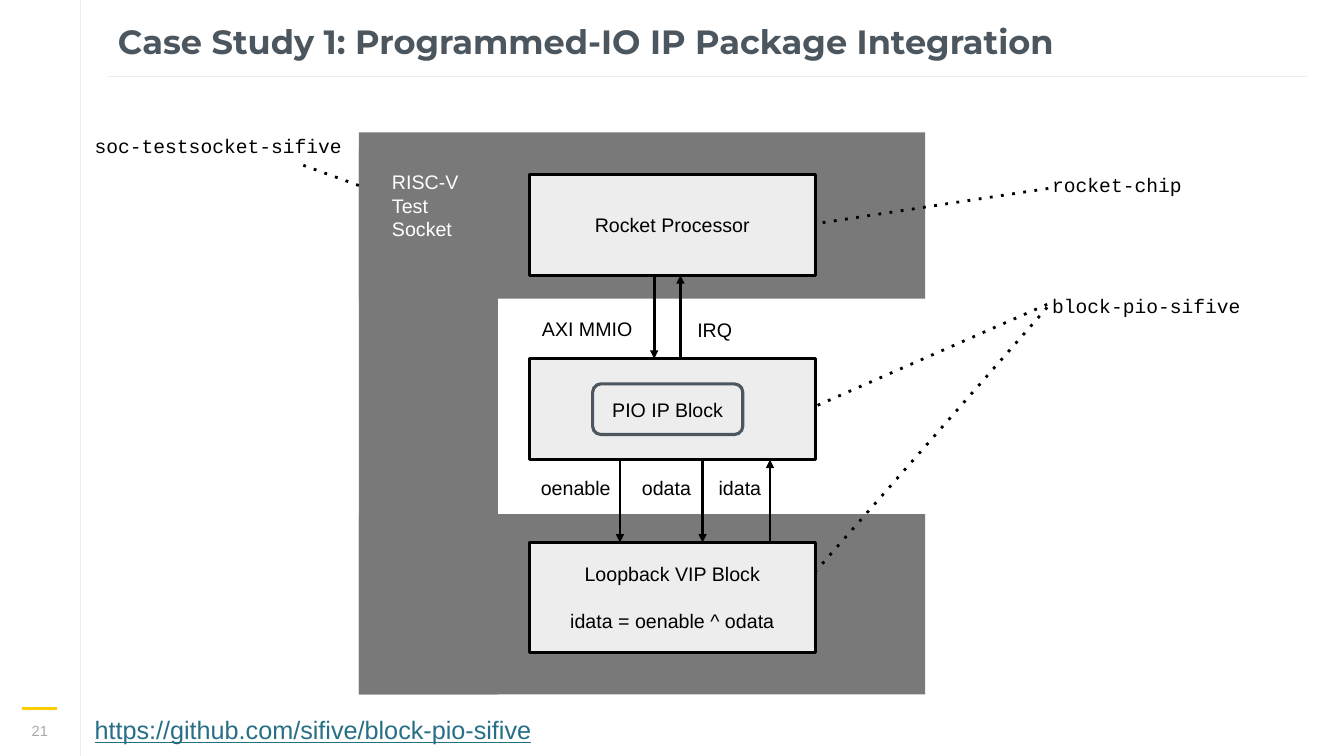
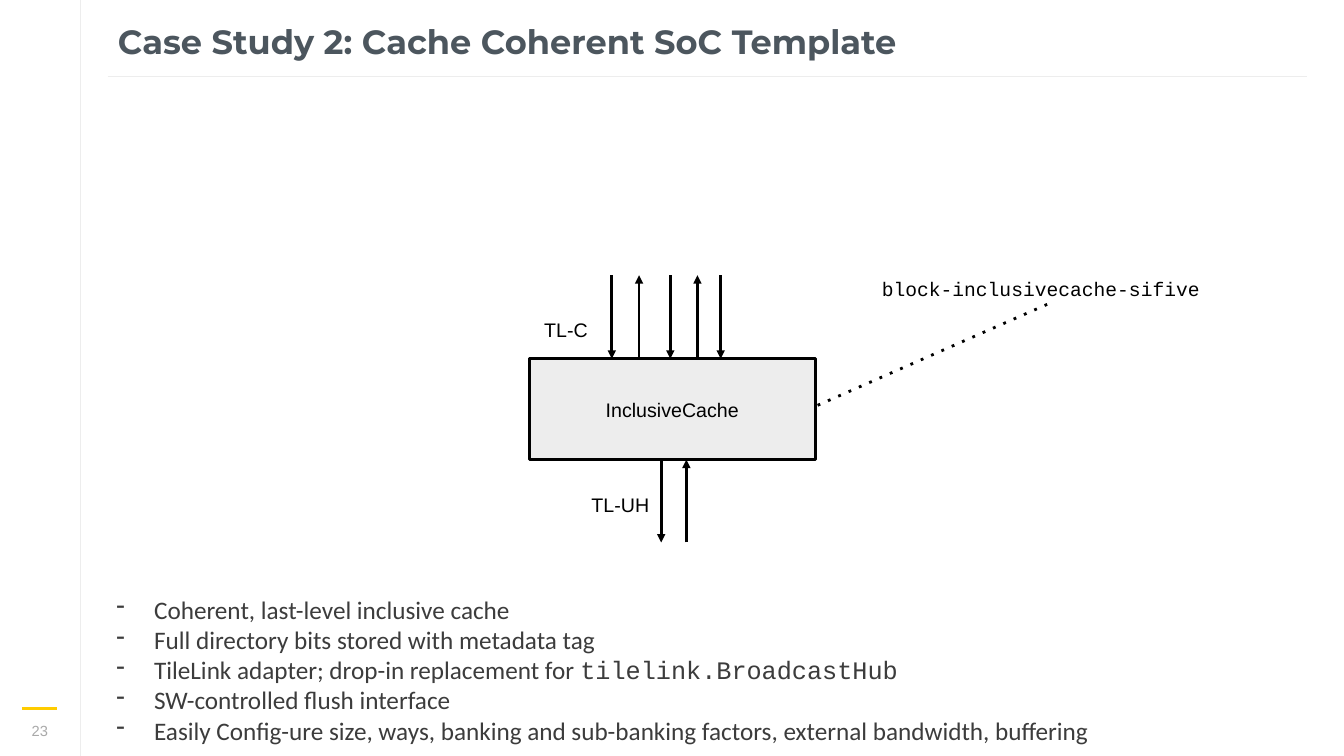
"""Build two case-study slides with block diagrams."""
from lxml import etree
from pptx import Presentation
from pptx.dml.color import RGBColor
from pptx.enum.shapes import MSO_CONNECTOR, MSO_SHAPE
from pptx.enum.text import MSO_ANCHOR, MSO_AUTO_SIZE, PP_ALIGN
from pptx.oxml.ns import qn
from pptx.util import Pt

LINE = MSO_CONNECTOR.STRAIGHT
RECT, ROUND = MSO_SHAPE.RECTANGLE, MSO_SHAPE.ROUNDED_RECTANGLE
TOP, MIDDLE = MSO_ANCHOR.TOP, MSO_ANCHOR.MIDDLE
LEFT, CENTER = PP_ALIGN.LEFT, PP_ALIGN.CENTER
COLORS = {
    "title": "4C565E", "rule": "EDEDED", "accent": "FFCC00", "page": "A9A9A9",
    "socket": "797979", "block": "EDEDED", "ink": "000000", "white": "FFFFFF",
    "link": "266F87", "body": "3C3C3C",
}
SANS, MONO, HEAD, BODY = "Arial", "Courier New", "Montserrat", "Calibri"

BOX_X, BOX_W, BOX_H = 378, 204.5, 72
ROWS = {"top": 124.6, "mid": 256.3, "low": 387.5}
UPPER = (ROWS["top"] + BOX_H, ROWS["mid"])
LOWER = (ROWS["mid"] + BOX_H, ROWS["low"])
CALL = (748, 217.4, 582.5, 290.2)

SLIDES = [
    {
        "title": "Case Study 1: Programmed-IO IP Package Integration",
        "page": "21",
        "socket": [(256.3, 94.6, 404.6, 118.8), (256.3, 367.2, 404.6, 128.9),
                   (256.3, 107.3, 99.4, 388.8)],
        "blocks": [("top", BOX_H, ["Rocket Processor"]), ("mid", BOX_H, []),
                   ("low", 78.5, ["Loopback VIP Block", "idata = oenable ^ odata"])],
        "inner": ("PIO IP Block", 423.3, 274.2, 107.3, 36.2),
        "arrows": [(UPPER, 467.3, "down"), (UPPER, 486, "up"), (LOWER, 442.8, "down"),
                   (LOWER, 501.8, "down"), (LOWER, 550, "up")],
        "labels": [(["AXI MMIO"], 380, 222.5, 82, SANS, "ink"),
                   (["IRQ"], 491, 223.2, 82, SANS, "ink"),
                   (["oenable"], 379.2, 336.2, 71, SANS, "ink"),
                   (["odata"], 451.4, 336.2, 54, SANS, "ink"),
                   (["idata"], 506.2, 336.2, 54, SANS, "ink"),
                   (["RISC-V", "Test", "Socket"], 272.9, 118.1, 70, SANS, "white"),
                   (["block-pio-sifive"], 744.5, 206.6, 160, MONO, "ink"),
                   (["rocket-chip"], 744.5, 120.2, 120, MONO, "ink"),
                   (["soc-testsocket-sifive"], 60.5, 92.2, 196, MONO, "ink")],
        "dots": [CALL, (748, 219.6, 582.5, 408.2), (748.8, 134.6, 582.5, 159.8),
                 (256.3, 132.5, 216.7, 118.1)],
        "link": "https://github.com/sifive/block-pio-sifive",
    },
    {
        "title": "Case Study 2: Cache Coherent SoC Template",
        "page": "23",
        "blocks": [("mid", BOX_H, ["InclusiveCache"])],
        "arrows": [(UPPER, 437, "down"), (UPPER, 456.5, "up"), (UPPER, 478.8, "down"),
                   (UPPER, 498.2, "up"), (UPPER, 514.8, "down"),
                   (LOWER, 472.3, "down"), (LOWER, 490.3, "up")],
        "labels": [(["TL-C"], 381.6, 223.9, 60, SANS, "ink"),
                   (["TL-UH"], 415.4, 348.5, 71, SANS, "ink"),
                   (["block-inclusivecache-sifive"], 622.8, 194.4, 277, MONO, "ink")],
        "dots": [CALL],
        "points": [
            "Coherent, last-level inclusive cache",
            "Full directory bits stored with metadata tag",
            ("TileLink adapter; drop-in replacement for ", "tilelink.BroadcastHub"),
            "SW-controlled flush interface",
            "Easily Config-ure size, ways, banking and sub-banking factors, "
            "external bandwidth, buffering",
        ],
    },
]


def rgb(name):
    return RGBColor.from_string(COLORS[name])


def write(shape, paras, size, color, font=SANS, align=LEFT, anchor=TOP,
          pad=(7.2, 3.6), gap=0):
    frame = shape.text_frame
    frame.word_wrap = True
    frame.auto_size = MSO_AUTO_SIZE.NONE
    frame.vertical_anchor = anchor
    frame.margin_left = frame.margin_right = Pt(pad[0])
    frame.margin_top = frame.margin_bottom = Pt(pad[1])
    for i, parts in enumerate(paras):
        para = frame.add_paragraph() if i else frame.paragraphs[0]
        para.alignment = align
        para.space_before = Pt(gap if i else 0)
        for j, part in enumerate([parts] if isinstance(parts, str) else parts):
            run = para.add_run()
            run.text = part
            run.font.name = MONO if j else font
            run.font.size = Pt(size)
            run.font.color.rgb = rgb(color)
    return frame


def label(slide, paras, x, y, w, h, size, color, **style):
    box = slide.shapes.add_textbox(Pt(x), Pt(y), Pt(w), Pt(h))
    return write(box, paras, size, color, **style)


def block(slide, x, y, w, h, fill=None, line=None, width=2, kind=RECT):
    shape = slide.shapes.add_shape(kind, Pt(x), Pt(y), Pt(w), Pt(h))
    shape.shadow.inherit = False
    if fill:
        shape.fill.solid()
        shape.fill.fore_color.rgb = rgb(fill)
    else:
        shape.fill.background()
    if line:
        shape.line.color.rgb = rgb(line)
        shape.line.width = Pt(width)
    else:
        shape.line.fill.background()
    return shape


def rule(slide, x1, y1, x2, y2, color="ink", width=2, dot=False, arrow=False):
    link = slide.shapes.add_connector(LINE, Pt(x1), Pt(y1), Pt(x2), Pt(y2))
    link.line.color.rgb = rgb(color)
    link.line.width = Pt(width)
    props = link.line.fill._xPr
    if dot:
        etree.SubElement(props, qn("a:prstDash"), val="dot")
    if arrow:
        etree.SubElement(props, qn("a:tailEnd"), type="triangle")
    etree.SubElement(link._element.spPr, qn("a:effectLst"))


def bullet(para):
    props = para._p.get_or_add_pPr()
    props.set("marL", str(Pt(36)))
    props.set("indent", str(Pt(-27)))
    tint = etree.SubElement(props, qn("a:buClr"))
    etree.SubElement(tint, qn("a:srgbClr"), val=COLORS["body"])
    etree.SubElement(props, qn("a:buChar"), char="-")


def base(deck, data):
    slide = deck.slides.add_slide(deck.slide_layouts[5])
    rule(slide, 77, 54.7, 933.8, 54.7, "rule", 1)
    rule(slide, 57.6, 0, 57.6, 540, "rule", 1)
    rule(slide, 15.8, 506.2, 41, 506.2, "accent")
    label(slide, [data["page"]], 13, 515.5, 31, 13, 10.5, "page",
          align=CENTER, pad=(0, 0))
    title = slide.shapes.title
    title.left, title.top, title.width, title.height = Pt(77), Pt(15.1), Pt(857.5), Pt(28.8)
    frame = write(title, [data["title"]], 24, "title", HEAD, anchor=MIDDLE, pad=(7.2, 7.2))
    frame.paragraphs[0].runs[0].font.bold = True
    return slide


def draw(deck, data):
    slide = base(deck, data)
    for area in data.get("socket", []):
        block(slide, *area, fill="socket")
    for row, h, paras in data["blocks"]:
        shape = block(slide, BOX_X, ROWS[row], BOX_W, h, "block", "ink")
        if paras:
            write(shape, paras, 14, "ink", align=CENTER, anchor=MIDDLE, gap=17)
    if "inner" in data:
        name, *area = data["inner"]
        shape = block(slide, *area, line="title", width=2.25, kind=ROUND)
        write(shape, [name], 14, "ink", align=CENTER, anchor=MIDDLE)
    for (top, low), x, way in data["arrows"]:
        start, end = (top, low) if way == "down" else (low, top)
        rule(slide, x, start, x, end, arrow=True)
    for ends in data["dots"]:
        rule(slide, *ends, dot=True)
    for paras, x, y, w, font, color in data["labels"]:
        label(slide, paras, x, y, w, 7.2 + 17 * len(paras), 14, color, font=font)
    if "link" in data:
        frame = label(slide, [data["link"]], 60.5, 503, 582, 36, 18, "link", pad=(7.2, 7.2))
        frame.paragraphs[0].runs[0].font.underline = True
    if "points" in data:
        frame = label(slide, data["points"], 67, 417, 801, 123, 18, "body",
                      font=BODY, pad=(7.2, 7.2))
        for para in frame.paragraphs:
            bullet(para)


def main():
    deck = Presentation()
    deck.slide_width, deck.slide_height = Pt(960), Pt(540)
    for data in SLIDES:
        draw(deck, data)
    deck.save("out.pptx")


if __name__ == "__main__":
    main()
